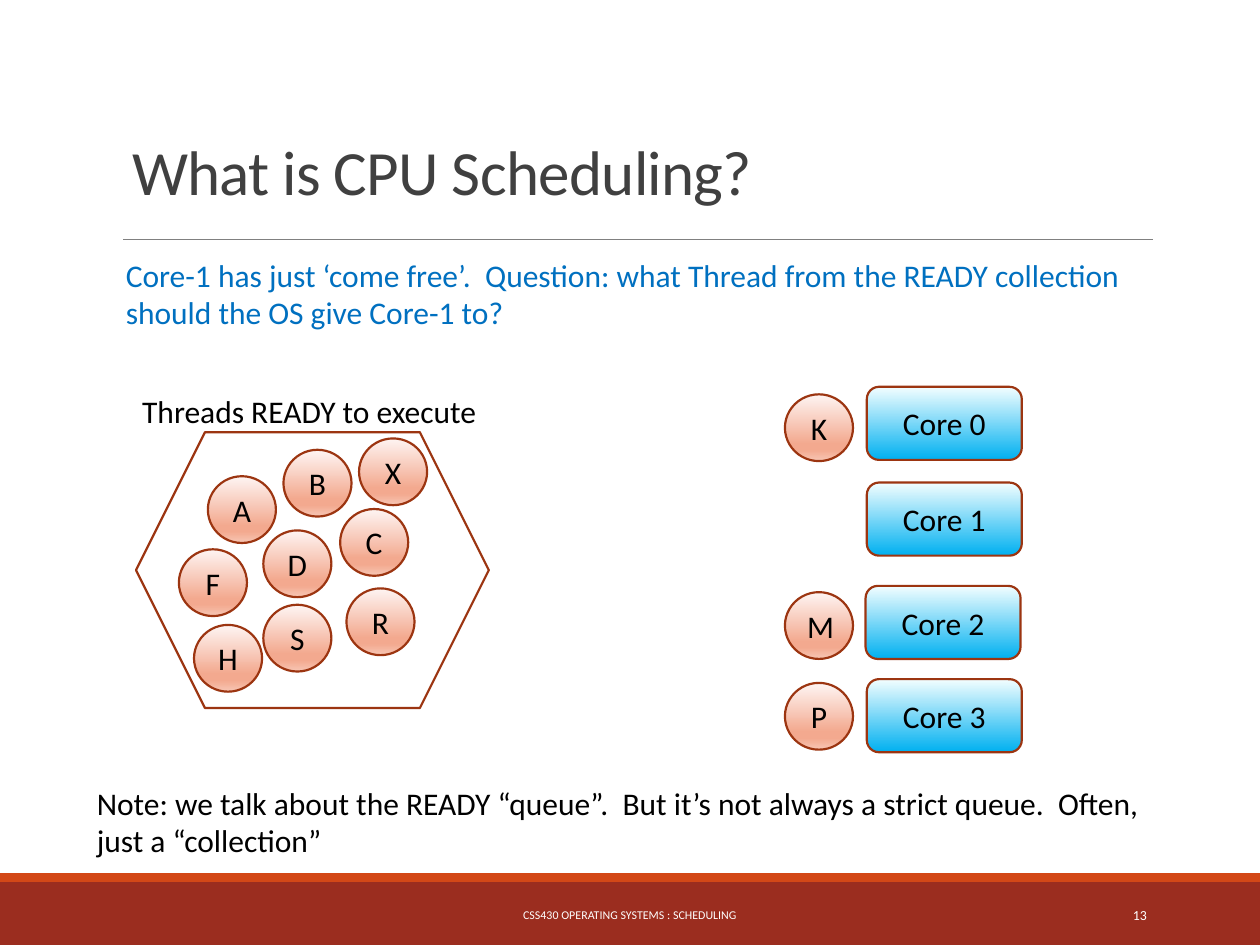
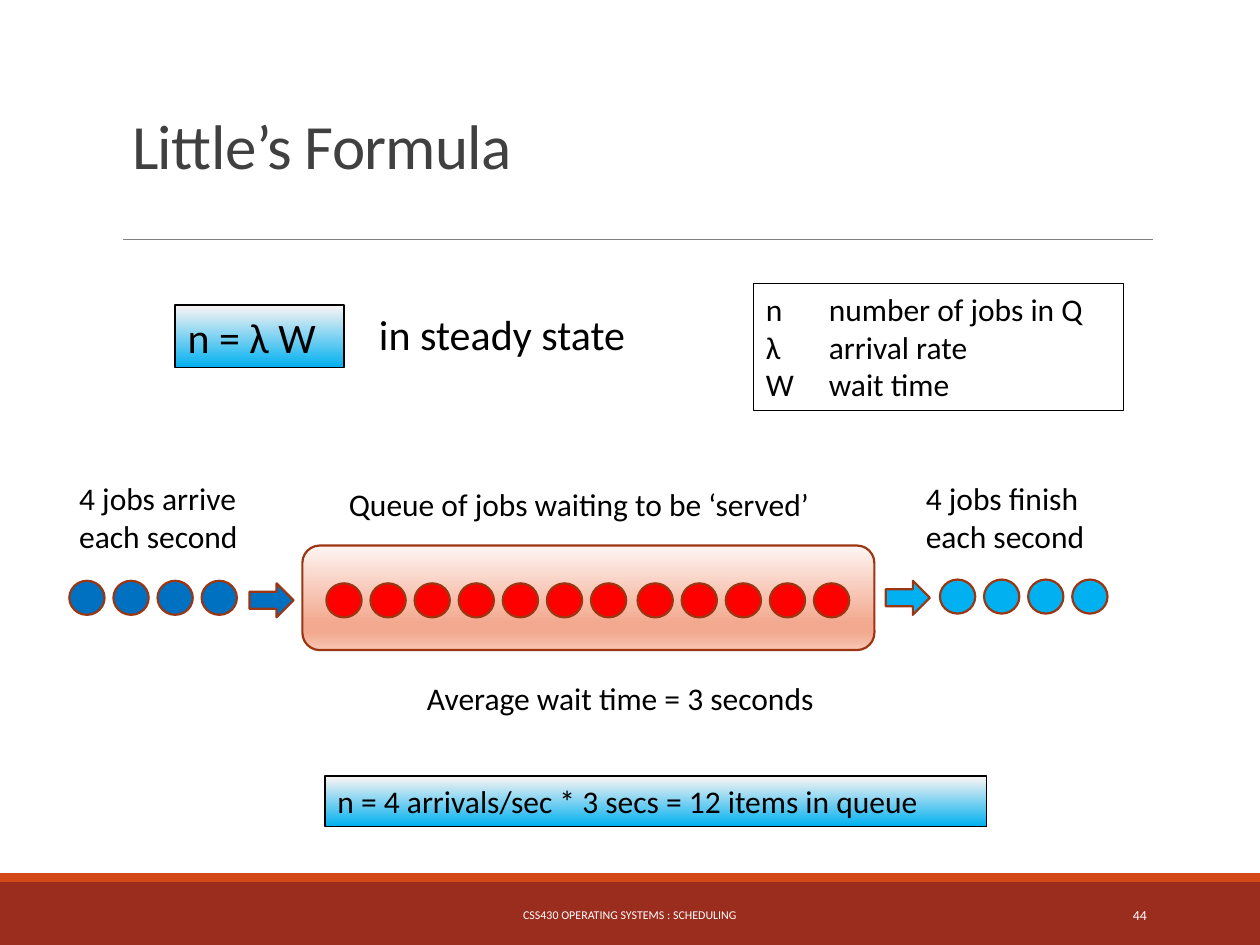
from collections import namedtuple

from lxml import etree
from pptx import Presentation
from pptx.dml.color import RGBColor
from pptx.enum.shapes import MSO_CONNECTOR, MSO_SHAPE
from pptx.enum.text import MSO_ANCHOR, PP_ALIGN
from pptx.oxml.ns import qn
from pptx.util import Inches, Pt

RECTANGLE = MSO_SHAPE.RECTANGLE
ROUNDED = MSO_SHAPE.ROUNDED_RECTANGLE
OVAL = MSO_SHAPE.OVAL
HEXAGON = MSO_SHAPE.HEXAGON
RIGHT_ARROW = MSO_SHAPE.RIGHT_ARROW
STRAIGHT = MSO_CONNECTOR.STRAIGHT
TOP, MIDDLE, BOTTOM = MSO_ANCHOR.TOP, MSO_ANCHOR.MIDDLE, MSO_ANCHOR.BOTTOM
LEFT, CENTER, RIGHT = PP_ALIGN.LEFT, PP_ALIGN.CENTER, PP_ALIGN.RIGHT

FONT = "Calibri"
BLACK = RGBColor(0x00, 0x00, 0x00)
WHITE = RGBColor(0xFF, 0xFF, 0xFF)
TITLE_GREY = RGBColor(0x40, 0x40, 0x40)
RULE_GREY = RGBColor(0x80, 0x80, 0x80)
BAND_RED = RGBColor(0x9B, 0x2D, 0x1F)
BAND_ORANGE = RGBColor(0xD3, 0x48, 0x17)
OUTLINE = RGBColor(0x9C, 0x35, 0x11)
BLUE = RGBColor(0x00, 0x70, 0xC0)
SKY = RGBColor(0x00, 0xB0, 0xF0)
RED = RGBColor(0xFF, 0x00, 0x00)
ICE = RGBColor(0xF3, 0xFE, 0xFF)
BLUSH = RGBColor(0xFE, 0xF5, 0xF3)
SALMON = RGBColor(0xF3, 0xA9, 0x8F)
PEACH = RGBColor(0xF7, 0xC6, 0xB4)

SALMON_FADE = [(0, BLUSH), (74, SALMON), (83, SALMON), (100, PEACH)]
CORE_FADE = [(0, ICE), (100, SKY)]
FORMULA_FADE = [(0, BLUSH), (100, SKY)]

THREAD_WIDTH, THREAD_HEIGHT = 0.54, 0.53
DOT_WIDTH, DOT_HEIGHT, DOT_PITCH = 0.28, 0.27, 0.35

Box = namedtuple("Box", "left top width height")


def within(box, left, top, width, height):
    return Box(box.left + left, box.top + top, width, height)


def write_text(shape, text, size=18, color=BLACK, align=LEFT, anchor=TOP,
               line_spacing=None, tracking=None, tab=None):
    frame = shape.text_frame
    frame.word_wrap = True
    frame.vertical_anchor = anchor
    for index, line in enumerate(text.split("\n")):
        para = frame.add_paragraph() if index else frame.paragraphs[0]
        para.alignment = align
        if line_spacing:
            para.line_spacing = line_spacing
        if tab:
            tabs = etree.SubElement(para._p.get_or_add_pPr(), qn("a:tabLst"))
            etree.SubElement(tabs, qn("a:tab"), pos=str(Inches(tab)), algn="l")
        span = para.add_run()
        span.text = line
        span.font.name = FONT
        span.font.size = Pt(size)
        span.font.color.rgb = color
        if tracking:
            span._r.get_or_add_rPr().set("spc", str(round(tracking * 100)))


def add_label(page, box, text, **text_format):
    label = page.shapes.add_textbox(*map(Inches, box))
    write_text(label, text, **text_format)


def fill_gradient(shape, stops):
    shape.fill.gradient()
    shape.fill.gradient_angle = 270
    stop_list = shape._element.spPr.find(qn("a:gradFill")).find(qn("a:gsLst"))
    for stop in list(stop_list):
        stop_list.remove(stop)
    for percent, color in stops:
        stop = etree.SubElement(stop_list, qn("a:gs"), pos=str(percent * 1000))
        etree.SubElement(stop, qn("a:srgbClr"), val=str(color))


def add_figure(page, kind, box, fill=None, line=OUTLINE, line_width=1.25,
               text=None, **text_format):
    shape = page.shapes.add_shape(kind, *map(Inches, box))
    shape.shadow.inherit = False
    if fill is None:
        shape.fill.background()
    elif isinstance(fill, list):
        fill_gradient(shape, fill)
    else:
        shape.fill.solid()
        shape.fill.fore_color.rgb = fill
    if line is None:
        shape.line.fill.background()
    else:
        shape.line.color.rgb = line
        shape.line.width = Pt(line_width)
    if text:
        write_text(shape, text, **text_format)


def add_framed_text(page, box, text, fill=None, **text_format):
    add_figure(page, RECTANGLE, box, fill, BLACK, 0.75, text, **text_format)


def add_page(deck, title, title_box, number):
    page = deck.slides.add_slide(deck.slide_layouts[6])
    add_figure(page, RECTANGLE, Box(0, 7, 10, 0.5), BAND_RED, None)
    add_figure(page, RECTANGLE, Box(0, 6.93, 10, 0.07), BAND_ORANGE, None)
    rule = page.shapes.add_connector(
        STRAIGHT, Inches(0.98), Inches(1.9), Inches(9.15), Inches(1.9))
    rule.line.color.rgb = RULE_GREY
    rule.line.width = Pt(0.5)
    etree.SubElement(rule._element.spPr, qn("a:effectLst"))
    add_label(page, title_box, title, size=36, color=TITLE_GREY, anchor=BOTTOM,
              line_spacing=0.85, tracking=-0.4)
    add_label(page, Box(3.02, 7.06, 3.96, 0.4),
              "CSS430 OPERATING SYSTEMS : SCHEDULING",
              size=6.8, color=WHITE, align=CENTER, anchor=MIDDLE)
    add_label(page, Box(8.12, 7.06, 1.08, 0.4), str(number),
              size=7.9, color=WHITE, align=RIGHT, anchor=MIDDLE)
    return page


def add_thread(page, box, name, left, top):
    add_figure(page, OVAL, within(box, left, top, THREAD_WIDTH, THREAD_HEIGHT),
               SALMON_FADE, text=name, align=CENTER, anchor=MIDDLE)


def add_ready_pool(page, box):
    threads = [("A", 0.57, 0.35), ("F", 0.34, 0.93), ("S", 1.01, 1.37),
               ("C", 1.62, 0.61), ("B", 1.17, 0.14), ("D", 1.01, 0.78),
               ("H", 0.46, 1.53), ("R", 1.67, 1.24), ("X", 1.77, 0.05)]
    add_figure(page, HEXAGON, box)
    for name, left, top in threads:
        add_thread(page, box, name, left, top)
    add_label(page, within(box, -0.05, -0.37, 3.34, 0.4),
              "Threads READY to execute")


def add_cores(page, box):
    cores = [(0.65, 0), (0.65, 0.76), (0.64, 1.58), (0.65, 2.32)]
    for number, (left, top) in enumerate(cores):
        add_figure(page, ROUNDED, within(box, left, top, 1.23, 0.58), CORE_FADE,
                   text=f"Core {number}", align=CENTER, anchor=MIDDLE)
    for name, top in [("K", 0.06), ("M", 1.63), ("P", 2.35)]:
        add_thread(page, box, name, 0, top)


def add_dots(page, box, count, color):
    for index in range(count):
        dot = within(box, index * DOT_PITCH, 0, DOT_WIDTH, DOT_HEIGHT)
        add_figure(page, OVAL, dot, color)


def add_arrow(page, box, color):
    add_figure(page, RIGHT_ARROW, box, color)


def add_arrivals(page, box):
    add_label(page, within(box, 0, 0, 1.71, 0.71), "4 jobs arrive each second")
    add_dots(page, within(box, 0.02, 0.86, 1.33, DOT_HEIGHT), 4, BLUE)
    add_arrow(page, within(box, 1.45, 0.88, 0.35, 0.27), BLUE)


def add_queue(page, box):
    add_figure(page, ROUNDED, box, SALMON_FADE)
    for left, count in [(0.19, 7), (2.66, 5)]:
        add_dots(page, within(box, left, 0.3, box.width, DOT_HEIGHT), count, RED)
    add_label(page, within(box, 0.27, -0.53, 3.99, 0.4),
              "Queue of jobs waiting to be ‘served’")
    add_label(page, within(box, 0.89, 1.01, 3.65, 0.4),
              "Average wait time = 3 seconds")


def add_departures(page, box):
    add_label(page, within(box, 0.22, 0, 1.87, 0.71), "4 jobs finish each second")
    add_arrow(page, within(box, 0, 0.86, 0.35, 0.27), SKY)
    add_dots(page, within(box, 0.43, 0.85, 1.33, DOT_HEIGHT), 4, SKY)


def add_formula(page, box):
    add_framed_text(page, within(box, 0, 0.17, 1.34, 0.5), "n = λ W",
                    FORMULA_FADE, size=24)
    add_label(page, within(box, 1.52, 0.15, 2.26, 0.5), "in steady state", size=24)
    add_framed_text(page, within(box, 4.59, 0, 2.94, 1.01),
                    "n\tnumber of jobs in Q\nλ \tarrival rate\nW \twait time",
                    tab=0.5)


def build_scheduling_page(deck):
    page = add_page(deck, "What is CPU Scheduling?", Box(0.95, 0.67, 8.25, 1.03), 13)
    add_label(page, Box(0.9, 1.98, 8.17, 0.71),
              "Core-1 has just ‘come free’.  Question: what Thread from the READY "
              "collection should the OS give Core-1 to?", color=BLUE)
    add_ready_pool(page, Box(1.08, 3.43, 2.8, 2.19))
    add_cores(page, Box(6.23, 3.07, 1.88, 2.9))
    add_label(page, Box(0.67, 6.17, 8.64, 0.71),
              "Note: we talk about the READY “queue”.  But it’s not always a strict "
              "queue.  Often, just a “collection”")


def build_formula_page(deck):
    page = add_page(deck, "Little’s Formula", Box(0.95, 0.67, 8.25, 0.83), 44)
    add_formula(page, Box(1.39, 2.25, 7.53, 1.01))
    add_arrivals(page, Box(0.53, 3.75, 1.8, 1.15))
    add_queue(page, Box(2.4, 4.33, 4.54, 0.83))
    add_departures(page, Box(7.03, 3.75, 2.09, 1.12))
    add_framed_text(page, Box(2.58, 6.16, 5.25, 0.4),
                    "n = 4 arrivals/sec * 3 secs = 12 items in queue", FORMULA_FADE)


def main():
    deck = Presentation()
    deck.slide_width, deck.slide_height = Inches(10), Inches(7.5)
    build_scheduling_page(deck)
    build_formula_page(deck)
    deck.save("out.pptx")


if __name__ == "__main__":
    main()
